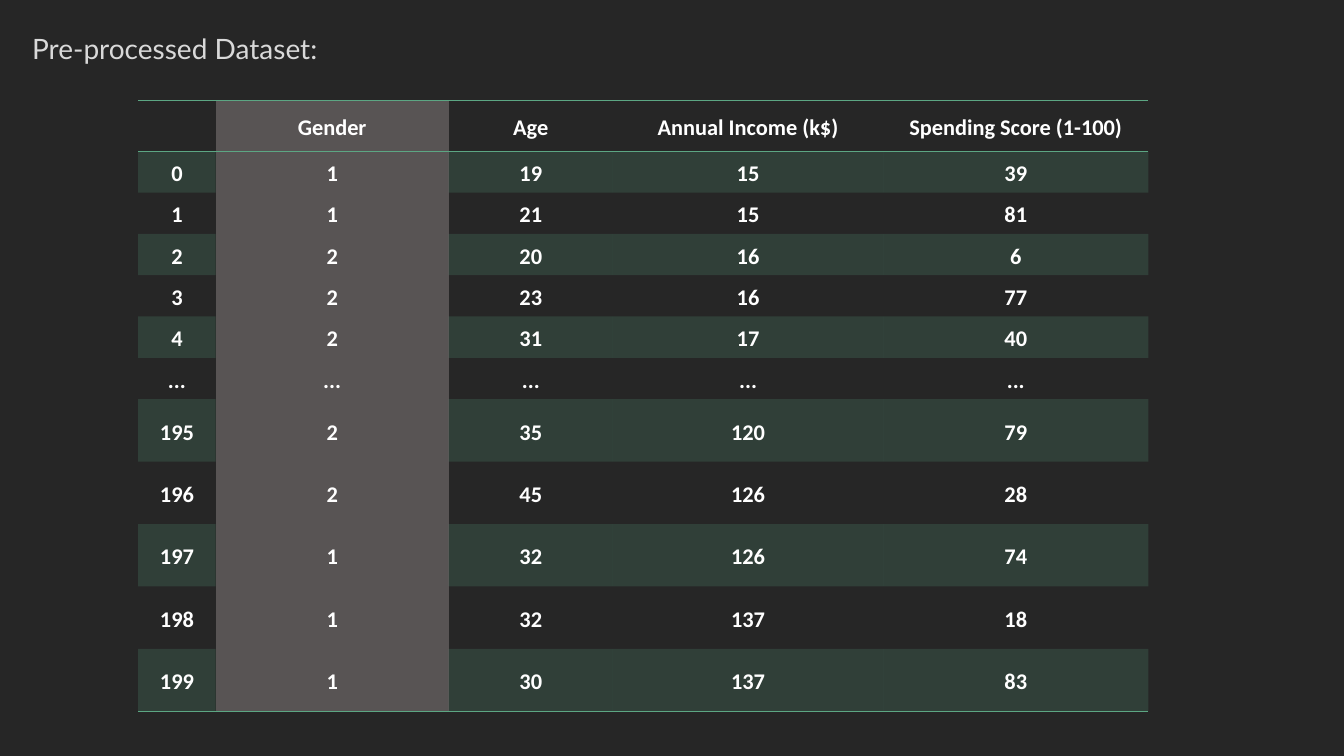
"""Build a slide with a table of pre-processed customer data."""
from pptx import Presentation
from pptx.dml.color import RGBColor
from pptx.enum.text import MSO_ANCHOR, MSO_AUTO_SIZE, PP_ALIGN
from pptx.oxml import parse_xml
from pptx.oxml.ns import nsdecls, qn
from pptx.util import Inches, Pt
from dataclasses import dataclass


@dataclass
class Theme:
    back: str = "262626"
    title: str = "D9D9D9"
    text: str = "FFFFFF"
    green: str = "5CA683"
    grey: str = "585454"
    head: int = 20
    body: int = 16
    line: int = 1
    tint: int = 20


def style(para, face, size, color, bold=False):
    font = para.font
    font.name, font.size, font.bold = face, Pt(size), bold
    font.color.rgb = RGBColor.from_string(color)


def border(cell, *sides):
    for spot, side in enumerate(sides):
        line = parse_xml(
            f'<a:{side} {nsdecls("a")} w="{Pt(theme.line)}"><a:solidFill>'
            f'<a:srgbClr val="{theme.green}"/></a:solidFill></a:{side}>')
        cell._tc.get_or_add_tcPr().insert(spot, line)


theme = Theme()
deck = Presentation()
deck.slide_width, deck.slide_height = Inches(13.33), Inches(7.5)
unit = deck.slide_width // 1333
slide = deck.slides.add_slide(deck.slide_layouts[6])
slide.background.fill.solid()
slide.background.fill.fore_color.rgb = RGBColor.from_string(theme.back)

title = slide.shapes.add_textbox(22 * unit, 26 * unit, 667 * unit, 44 * unit)
frame = title.text_frame
frame.word_wrap = True
frame.auto_size = MSO_AUTO_SIZE.SHAPE_TO_FIT_TEXT
frame.text = "Pre-processed Dataset:"
style(frame.paragraphs[0], "Lato", theme.head, theme.title)

data = [
    ["", "Gender", "Age", "Annual Income (k$)", "Spending Score (1-100)"],
    [0, 1, 19, 15, 39],
    [1, 1, 21, 15, 81],
    [2, 2, 20, 16, 6],
    [3, 2, 23, 16, 77],
    [4, 2, 31, 17, 40],
    ["..."] * 5,
    [195, 2, 35, 120, 79],
    [196, 2, 45, 126, 28],
    [197, 1, 32, 126, 74],
    [198, 1, 32, 137, 18],
    [199, 1, 30, 137, 83],
]
cols = [77, 231, 163, 268, 263]
rows = [50] + [41] * 6 + [62] * 5
table = slide.shapes.add_table(
    len(rows), len(cols), 137 * unit, 100 * unit,
    sum(cols) * unit, sum(rows) * unit).table
table.horz_banding = False
plain = "{2D5ABB26-0587-4C30-8999-92F81FD0307C}"
table._tbl.tblPr.find(qn("a:tableStyleId")).text = plain
for col, width in zip(table.columns, cols):
    col.width = width * unit
for row, height in zip(table.rows, rows):
    row.height = height * unit

for r, record in enumerate(data):
    for c, value in enumerate(record):
        cell = table.cell(r, c)
        cell.text = str(value)
        cell.vertical_anchor = MSO_ANCHOR.MIDDLE
        cell.margin_left = cell.margin_right = unit
        cell.margin_top = cell.margin_bottom = unit
        para = cell.text_frame.paragraphs[0]
        para.alignment, para.line_spacing = PP_ALIGN.CENTER, 1.15
        style(para, "Calibri", theme.body, theme.text, True)
        if c == 1:
            cell.fill.solid()
            cell.fill.fore_color.rgb = RGBColor.from_string(theme.grey)
        elif r % 2:
            cell.fill.solid()
            cell.fill.fore_color.rgb = RGBColor.from_string(theme.green)
            color = cell._tc.tcPr.find(".//" + qn("a:srgbClr"))
            color.append(parse_xml(
                f'<a:alpha {nsdecls("a")} val="{theme.tint * 1000}"/>'))
        else:
            cell.fill.background()
        if r == 0:
            border(cell, "lnT", "lnB")
        elif r == len(data) - 1:
            border(cell, "lnB")

deck.save("out.pptx")
